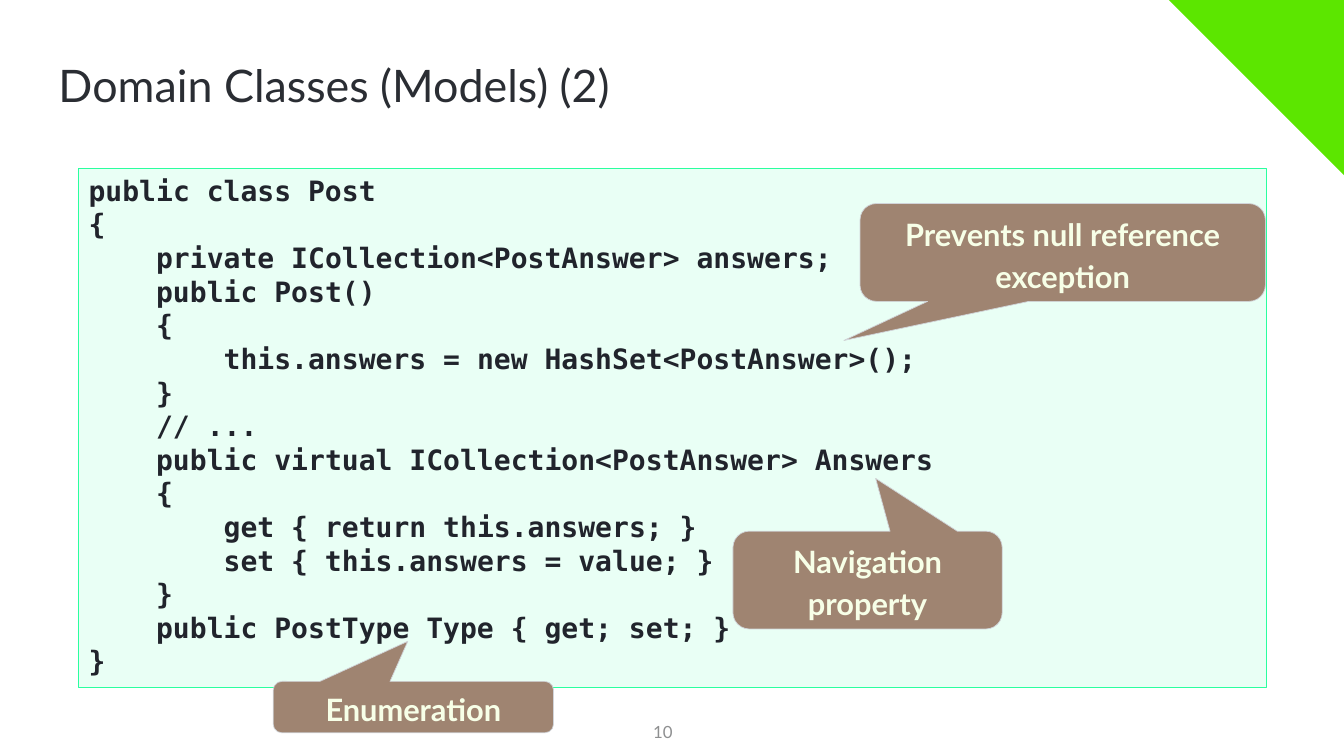
import pptx
import pptx.util
import pptx.dml.color
import pptx.enum.shapes
import pptx.enum.text
import lxml.etree

Inches = pptx.util.Inches
Pt = pptx.util.Pt
SHAPES = pptx.enum.shapes.MSO_SHAPE
ALIGN = pptx.enum.text.PP_ALIGN
ANCHOR = pptx.enum.text.MSO_ANCHOR


def paint(color_format, color):
    color_format.rgb = pptx.dml.color.RGBColor.from_string(color)


def write(para, text, size, font, color, bold=False):
    span = para.add_run()
    span.text = text
    span.font.size = Pt(size)
    span.font.name = font
    span.font.bold = bold
    paint(span.font.color, color)


deck = pptx.Presentation()
deck.slide_width = Inches(13.33)
deck.slide_height = Inches(7.5)
page = deck.slides.add_slide(deck.slide_layouts[5])

corner = page.shapes.add_shape(
    SHAPES.RECTANGLE, Inches(11.83), Inches(-2.4), Inches(3.83), Inches(3.77)
)
corner.rotation = 45
corner.shadow.inherit = False
corner.fill.solid()
paint(corner.fill.fore_color, "5CE600")
corner.line.fill.background()

number = page.shapes.add_textbox(Inches(6.11), Inches(7.13), Inches(0.66), Inches(0.25))
number.text_frame.word_wrap = True
number.text_frame.vertical_anchor = ANCHOR.MIDDLE
para = number.text_frame.paragraphs[0]
para.alignment = ALIGN.RIGHT
write(para, "10", 12, "Lato", "8E8F90")

title = page.shapes.title
title.left, title.top = Inches(0.48), Inches(0.57)
title.width, title.height = Inches(12.4), Inches(0.6)
title.text_frame.word_wrap = True
title.text_frame.auto_size = pptx.enum.text.MSO_AUTO_SIZE.NONE
title.text_frame.vertical_anchor = ANCHOR.MIDDLE
para = title.text_frame.paragraphs[0]
para.alignment = ALIGN.LEFT
para.line_spacing = 0.9
write(para, "Domain Classes (Models) (2)", 32, "Lato", "2A2D33")

code_lines = [
    (0, "public class Post"),
    (0, "{"),
    (1, "private ICollection<PostAnswer> answers;"),
    (1, "public Post()"),
    (1, "{"),
    (2, "this.answers = new HashSet<PostAnswer>();"),
    (1, "}"),
    (1, "// ..."),
    (1, "public virtual ICollection<PostAnswer> Answers"),
    (1, "{"),
    (2, "get { return this.answers; }"),
    (2, "set { this.answers = value; }"),
    (1, "}"),
    (1, "public PostType Type { get; set; }"),
    (0, "}"),
]
code_box = page.shapes.add_shape(
    SHAPES.RECTANGLE, Inches(0.78), Inches(1.67), Inches(11.78), Inches(5.15)
)
code_box.shadow.inherit = False
code_box.fill.solid()
paint(code_box.fill.fore_color, "71FFBF")
fill_color = code_box.fill._xPr.find(".//" + pptx.oxml.ns.qn("a:srgbClr"))
lxml.etree.SubElement(fill_color, pptx.oxml.ns.qn("a:alpha")).set("val", "15000")
paint(code_box.line.color, "2AFF9F")
code_box.line.width = Pt(1)
frame = code_box.text_frame
frame.word_wrap = True
frame.vertical_anchor = ANCHOR.TOP
for index, (depth, text) in enumerate(code_lines):
    para = frame.add_paragraph() if index else frame.paragraphs[0]
    para.alignment = ALIGN.LEFT
    para.line_spacing = Pt(24)
    para._p.get_or_add_pPr().set("marL", str(Inches(0.67 * depth)))
    write(para, text, 20, "DejaVu Sans Mono", "21242C", True)

callouts = [
    ("Navigation property", 7.27, 5.27, 2.67, 0.97, 0.03, -1.04),
    ("Enumeration", 2.71, 6.76, 2.78, 0.51, -0.02, -1.28),
    ("Prevents null reference exception", 8.53, 2.02, 4.02, 0.97, -0.54, 0.9),
]
for text, left, top, width, height, tip_x, tip_y in callouts:
    callout = page.shapes.add_shape(
        SHAPES.ROUNDED_RECTANGULAR_CALLOUT,
        Inches(left), Inches(top), Inches(width), Inches(height),
    )
    callout.adjustments[0] = tip_x
    callout.adjustments[1] = tip_y
    callout.shadow.inherit = False
    callout.fill.solid()
    paint(callout.fill.fore_color, "9F8471")
    paint(callout.line.color, "D1D4D9")
    callout.line.width = Pt(0.5)
    frame = callout.text_frame
    frame.word_wrap = True
    frame.vertical_anchor = ANCHOR.MIDDLE
    frame.margin_top = frame.margin_bottom = Inches(0.02)
    para = frame.paragraphs[0]
    para.alignment = ALIGN.CENTER
    para.line_spacing = Pt(30)
    write(para, text, 22, "Lato", "F7FFE7", True)

deck.save("out.pptx")
